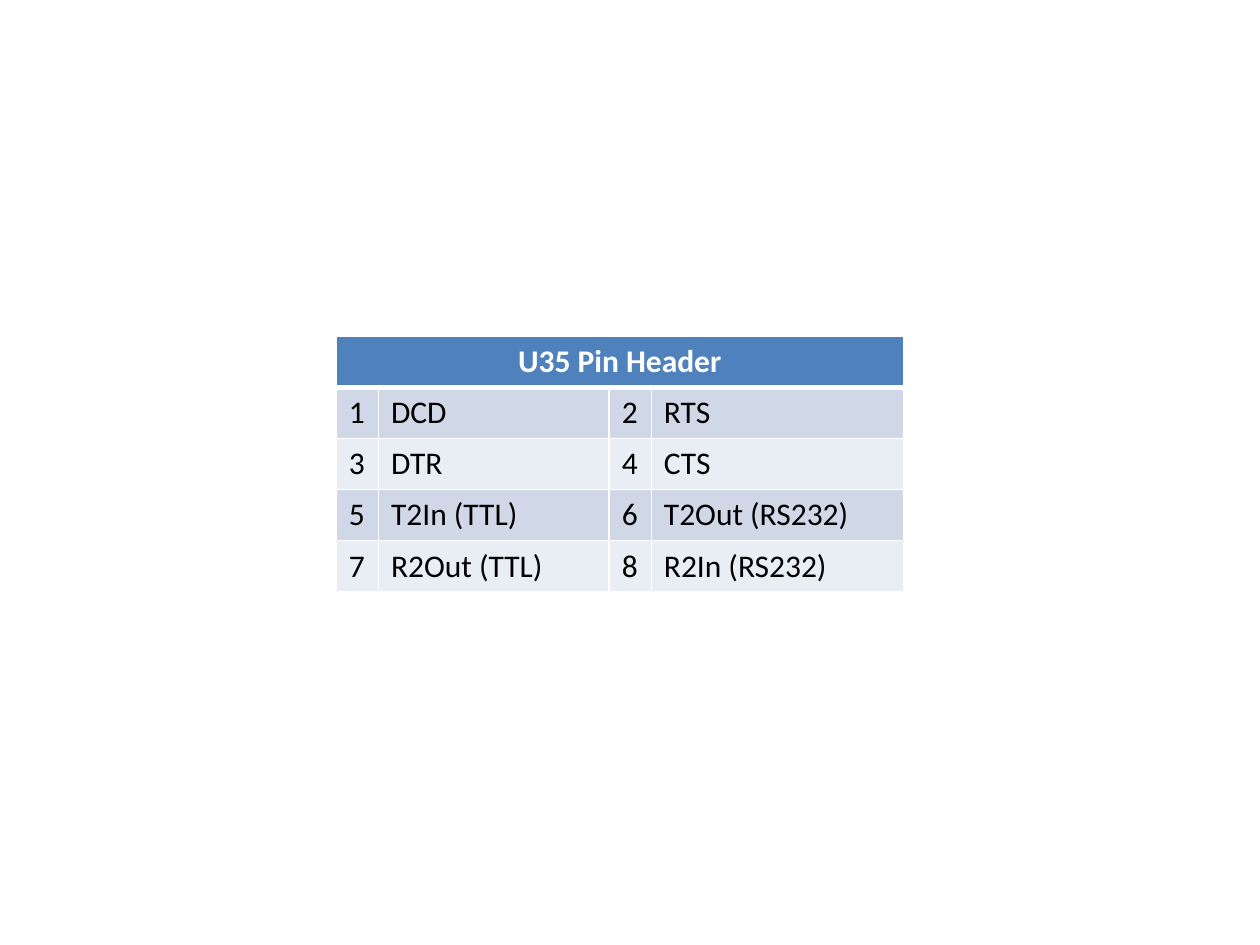
"""Build a slide with the pin assignment table of the U35 header."""
from lxml import etree
from pptx import Presentation
from pptx.dml.color import RGBColor
from pptx.enum.text import PP_ALIGN
from pptx.oxml.ns import qn
from pptx.util import Cm, Pt

LEFT, CENTER = PP_ALIGN.LEFT, PP_ALIGN.CENTER
BLANK_LAYOUT = 6
WHITE, BLACK, BLUE = "FFFFFF", "000000", "4F81BD"
BAND_FILLS = ("D0D8E8", "E9EDF4")
COLUMN_WIDTHS = (0.85, 4.65, 0.85, 5.08)
ROW_HEIGHT = 1.03
TITLE = "U35 Pin Header"
SIGNALS = (
    ("DCD", "RTS"),
    ("DTR", "CTS"),
    ("T2In (TTL)", "T2Out (RS232)"),
    ("R2Out (TTL)", "R2In (RS232)"),
)
FONT = {"name": "Calibri", "size": Pt(18)}


def rgb(value):
    """Turn a hex string into a colour."""
    return RGBColor.from_string(value)


def set_borders(cell, top=1, bottom=1):
    """Draw white lines, with widths in points, around a cell."""
    properties = cell._tc.get_or_add_tcPr()
    widths = {"a:lnL": 1, "a:lnR": 1, "a:lnT": top, "a:lnB": bottom}
    for tag, width in widths.items():
        line = etree.SubElement(properties, qn(tag), w=str(Pt(width)))
        fill = etree.SubElement(line, qn("a:solidFill"))
        etree.SubElement(fill, qn("a:srgbClr"), val=WHITE)


def fill_cell(cell, text, fill, color=BLACK, bold=False, align=LEFT):
    """Write formatted text on a solid cell background."""
    cell.fill.solid()
    cell.fill.fore_color.rgb = rgb(fill)
    para = cell.text_frame.paragraphs[0]
    para.alignment = align
    span = para.add_run()
    span.text = text
    for name, value in {**FONT, "bold": bold}.items():
        setattr(span.font, name, value)
    span.font.color.rgb = rgb(color)


def add_pin_table(page):
    """Add the table with a merged header and numbered pins."""
    row_count, column_count = len(SIGNALS) + 1, len(COLUMN_WIDTHS)
    table = page.shapes.add_table(
        row_count, column_count, Cm(6.78), Cm(6.78),
        Cm(sum(COLUMN_WIDTHS)), Cm(ROW_HEIGHT * row_count),
    ).table
    for column, width in zip(table.columns, COLUMN_WIDTHS):
        column.width = Cm(width)
    for row in table.rows:
        row.height = Cm(ROW_HEIGHT)

    for cell in table.rows[0].cells:
        set_borders(cell, bottom=3)
    header = table.cell(0, 0)
    header.merge(table.cell(0, column_count - 1))
    fill_cell(header, TITLE, BLUE, WHITE, True, CENTER)

    for index, (odd_signal, even_signal) in enumerate(SIGNALS):
        pin = 2 * index + 1
        texts = (str(pin), odd_signal, str(pin + 1), even_signal)
        for cell, text in zip(table.rows[index + 1].cells, texts):
            set_borders(cell, top=3 if index == 0 else 1)
            fill_cell(cell, text, BAND_FILLS[index % 2])


def main():
    """Create the deck and save it."""
    deck = Presentation()
    deck.slide_width, deck.slide_height = Cm(25.4), Cm(19.05)
    page = deck.slides.add_slide(deck.slide_layouts[BLANK_LAYOUT])
    add_pin_table(page)
    deck.save("out.pptx")


if __name__ == "__main__":
    main()
